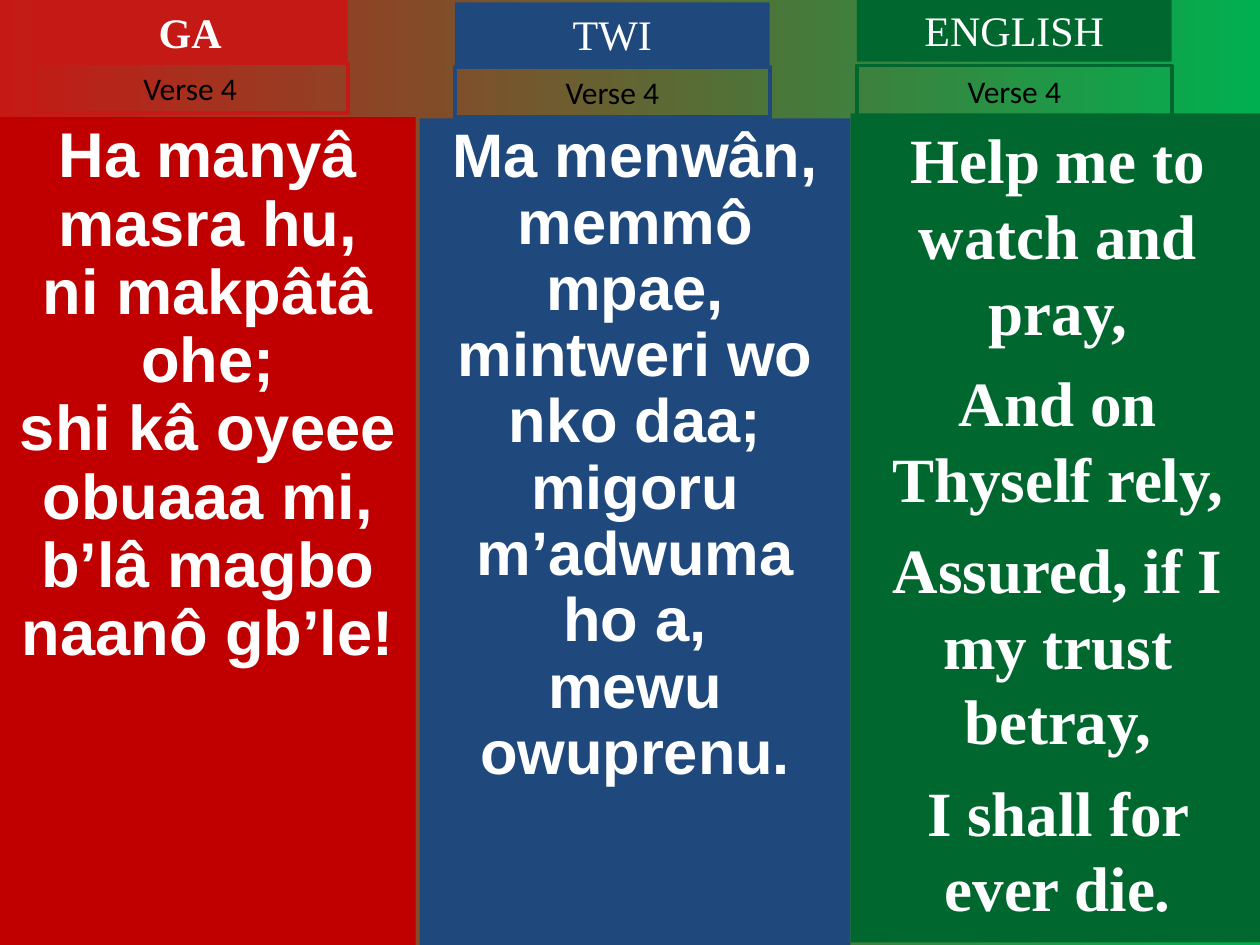
import pptx
import pptx.util
import pptx.dml.color
import pptx.enum.shapes
import pptx.enum.text

Inches = pptx.util.Inches
Pt = pptx.util.Pt
RGBColor = pptx.dml.color.RGBColor

RED = RGBColor(0xC5, 0x19, 0x15)
DEEP_RED = RGBColor(0xC0, 0x00, 0x00)
BLUE = RGBColor(0x1F, 0x49, 0x7D)
GREEN = RGBColor(0x00, 0x68, 0x2F)
BRIGHT_GREEN = RGBColor(0x00, 0xB0, 0x50)
WHITE = RGBColor(0xFF, 0xFF, 0xFF)
BLACK = RGBColor(0x00, 0x00, 0x00)

HEAD_W, HEAD_H, LABEL_H = 2.5, 0.5, 0.4


def add_box(s, box, fill=None, line=None):
    """Add a rectangle with the given fill or outline."""
    sp = s.shapes.add_shape(pptx.enum.shapes.MSO_SHAPE.RECTANGLE,
                            *[Inches(v) for v in box])
    sp.shadow.inherit = False
    if fill is None:
        sp.fill.background()
    else:
        sp.fill.solid()
        sp.fill.fore_color.rgb = fill
    if line is None:
        sp.line.fill.background()
    else:
        sp.line.color.rgb = line
        sp.line.width = Pt(2.25)
    return sp


def set_text(sp, lines, font, size, color=WHITE, bold=False, spacing=1.0,
             before=0, top=0.05, grow=False):
    """Fill a shape with centred paragraphs from its top edge."""
    tf = sp.text_frame
    tf.word_wrap = True
    tf.vertical_anchor = pptx.enum.text.MSO_ANCHOR.TOP
    tf.margin_top = Inches(top)
    if grow:
        tf.auto_size = pptx.enum.text.MSO_AUTO_SIZE.SHAPE_TO_FIT_TEXT
    for i, line in enumerate(lines):
        p = tf.add_paragraph() if i else tf.paragraphs[0]
        p.alignment = pptx.enum.text.PP_ALIGN.CENTER
        p.line_spacing = spacing
        p.space_before = Pt(before if i else 0)
        r = p.add_run()
        r.text = line
        r.font.name = font
        r.font.size = Pt(size)
        r.font.bold = bold
        r.font.color.rgb = color


def add_heading(s, left, top, label_top, language, color, bold=False):
    """Language name with the outlined verse label below it."""
    sp = add_box(s, (left, top, HEAD_W, HEAD_H), fill=color)
    set_text(sp, [language], "Times New Roman", 24, bold=bold, grow=True)
    sp = add_box(s, (left, label_top, HEAD_W, LABEL_H), line=color)
    set_text(sp, ["Verse 4"], "Calibri", 18, color=BLACK, grow=True)


def add_verse(s, box, fill, lines, font, size, **fmt):
    """Coloured panel with the verse in one language."""
    sp = add_box(s, box, fill=fill)
    set_text(sp, lines, font, size, bold=True, **fmt)


def set_background(s):
    """Red to green gradient from left to right."""
    fill = s.background.fill
    fill.gradient()
    fill.gradient_angle = 0
    for stop, color, pos in zip(fill.gradient_stops, (RED, BRIGHT_GREEN), (0, 1)):
        stop.color.rgb = color
        stop.position = pos


def main():
    prs = pptx.Presentation()
    prs.slide_width, prs.slide_height = Inches(10), Inches(7.5)
    s = prs.slides.add_slide(prs.slide_layouts[6])
    set_background(s)

    # Ga
    add_verse(s, (0, 0.93, 3.3, 6.57), DEEP_RED,
              ["Ha manyâ masra hu,", "ni makpâtâ ohe;",
               "shi kâ oyeee obuaaa mi,", "b’lâ magbo naanô gb’le!"],
              "Arial", 36.1, spacing=0.9)
    add_heading(s, 0.26, 0, 0.5, "GA", RED, bold=True)

    # Twi
    add_verse(s, (3.33, 0.94, 3.42, 6.56), BLUE,
              ["Ma menwân, memmô mpae,", "mintweri wo nko daa;",
               "migoru m’adwuma ho a,", "mewu owuprenu."],
              "Arial", 35.1, spacing=0.9)
    add_heading(s, 3.61, 0.02, 0.53, "TWI", BLUE)

    # English
    add_verse(s, (6.75, 0.9, 3.29, 6.58), GREEN,
              ["Help me to watch and pray,", "And on Thyself rely,",
               "Assured, if I my trust betray,", "I shall for ever die."],
              "Times New Roman", 36, before=9, top=0.06)
    add_heading(s, 6.8, -0.01, 0.52, "ENGLISH", GREEN)

    prs.save("out.pptx")


if __name__ == "__main__":
    main()
